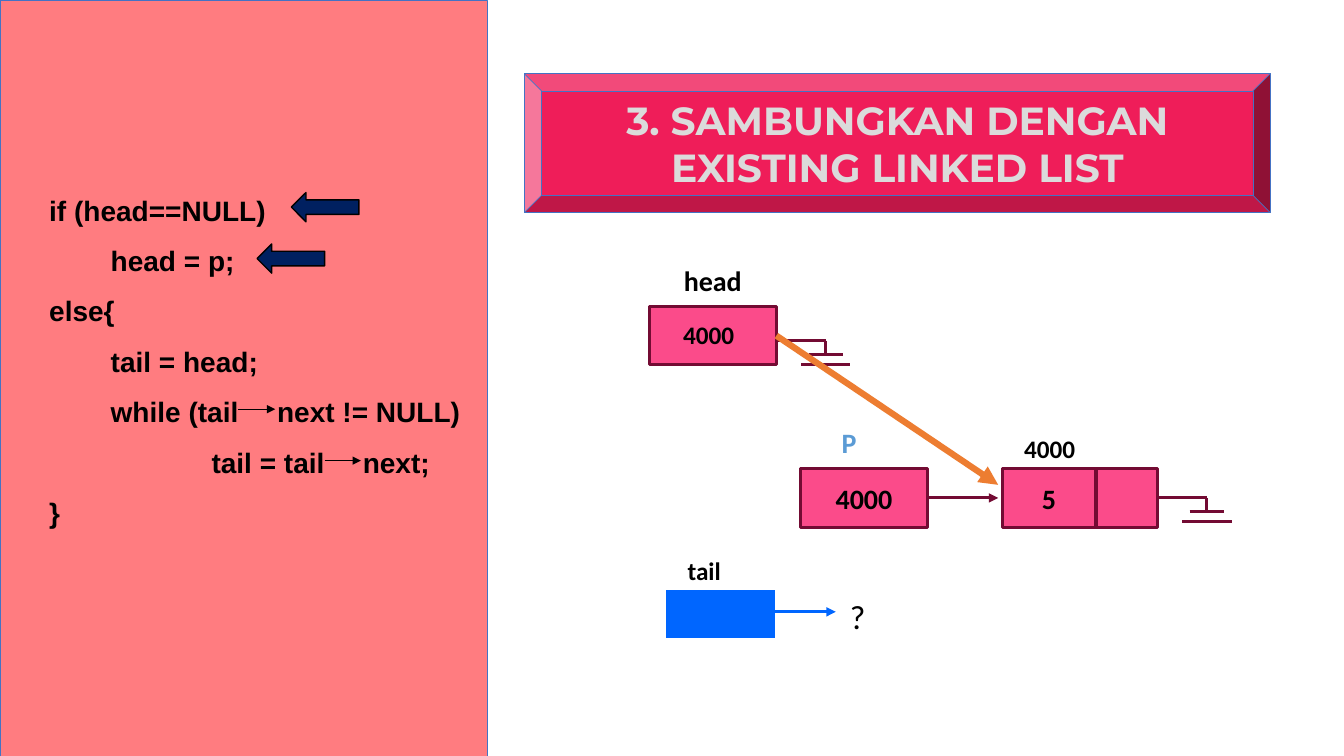
"""Build the slide that links a new node into an existing linked list."""
from dataclasses import dataclass
from typing import Any, Optional

from lxml.etree import SubElement
from pptx import Presentation
from pptx.dml.color import RGBColor
from pptx.enum.shapes import MSO_CONNECTOR as Connector, MSO_SHAPE as Preset
from pptx.enum.text import MSO_ANCHOR as Anchor, PP_ALIGN as Align
from pptx.oxml.ns import qn
from pptx.util import Inches, Pt

COLUMNS, ROWS = 133.3, 75
CELL = Inches(0.1)

BLACK = RGBColor(0x00, 0x00, 0x00)
WHITE = RGBColor(0xFF, 0xFF, 0xFF)
SILVER = RGBColor(0xDB, 0xDB, 0xDB)
CRIMSON = RGBColor(0xEF, 0x1D, 0x59)
PINK = RGBColor(0xFB, 0x4B, 0x8A)
WINE = RGBColor(0x73, 0x0B, 0x33)
CORAL = RGBColor(0xFF, 0x7C, 0x80)
FRAME_BLUE = RGBColor(0x44, 0x72, 0xC4)
PALE_BLUE = RGBColor(0x5B, 0x9B, 0xD5)
TAIL_BLUE = RGBColor(0x00, 0x66, 0xFF)
NAVY = RGBColor(0x00, 0x20, 0x60)
ORANGE = RGBColor(0xED, 0x7D, 0x31)


@dataclass(frozen=True)
class Box:
    """A filled preset shape measured in grid cells."""
    column: float
    row: float
    width: float
    height: float
    fill: RGBColor = PINK
    line: Optional[RGBColor] = WINE
    weight: float = 2.25
    text: str = ""
    size: float = 20
    font: str = "Calibri"
    color: RGBColor = BLACK
    preset: Preset = Preset.RECTANGLE


@dataclass(frozen=True)
class Label:
    """A caption in a text box measured in grid cells."""
    text: str
    column: float
    row: float
    width: float
    height: float
    size: float = 18
    color: RGBColor = BLACK
    bold: bool = True
    spacing: float = 1.0
    align: Align = Align.CENTER


@dataclass(frozen=True)
class Wire:
    """A straight line between two grid points."""
    start: tuple[float, float]
    end: tuple[float, float]
    color: RGBColor = WINE
    weight: float = 2.25
    arrow: bool = False


@dataclass(frozen=True)
class CodeLine:
    """A line of code with its tab stops in grid cells."""
    text: str
    stops: tuple[float, ...]
    bold: bool = True


MARGIN, INDENT, NESTED = 3.9, 10, 20
CODE = (
    CodeLine("\tif (head==NULL)", (MARGIN,)),
    CodeLine("\thead = p;", (INDENT,)),
    CodeLine("\telse{", (MARGIN,)),
    CodeLine("\ttail = head;", (INDENT,)),
    CodeLine("\twhile (tail\tnext != NULL)", (INDENT, 26.5)),
    CodeLine("\ttail = tail\tnext;", (NESTED, 35)),
    CodeLine("\t}", (MARGIN,)),
)
PANEL = Box(0, 0, 48.3, ROWS, CORAL, FRAME_BLUE, 0.5)
BOXES = (
    Box(52, 7.3, 74, 13.8, CRIMSON, FRAME_BLUE, 0.5, "3. SAMBUNGKAN DENGAN EXISTING LINKED LIST",
        28, "Montserrat", SILVER, Preset.BEVEL),
    Box(79.4, 46.5, 12.6, 5.8, text="4000"),
    Box(99.4, 46.5, 9.3, 5.8, text="5"),
    Box(108.7, 46.5, 6.1, 5.8),
    Box(64.4, 30.4, 12.6, 5.8),
    Box(66.5, 31.2, 7.6, 4, line=None, text="4000", size=18),
    Box(65.9, 58.4, 11.1, 5.1, TAIL_BLUE, WHITE),
    *(Box(column, row, 6.7, 2.9, NAVY, BLACK, 1, preset=Preset.LEFT_ARROW)
      for column, row in ((28.9, 19.1), (25.5, 24.2))),
)
LABELS = (
    Label("P", 82.5, 42.1, 6.5, 4.4, 20, PALE_BLUE, spacing=0.9, align=Align.LEFT),
    Label("4000", 100.3, 42.5, 7.6, 4),
    Label("head", 64.7, 26, 12, 4.4, 20, spacing=0.9),
    Label("tail", 65.6, 54.6, 8.5, 4),
    Label("?", 83.3, 56.6, 3.5, 6.4, 24, bold=False, spacing=1.5),
)


def ground(column: float, row: float) -> tuple[Wire, ...]:
    """Return the wires of a null symbol that starts at a grid point."""
    stem = column + 4.9
    bars = ((1.7, row + 1.35), (2.45, row + 2.35))
    return (
        Wire((column, row), (stem, row)),
        Wire((stem, row), (stem, row + 1.35)),
        *(Wire((stem - half, level), (stem + half, level)) for half, level in bars),
    )


WIRES = (
    *ground(77, 33.8),
    *ground(114.8, 49.4),
    Wire((92.1, 49.4), (99, 49.4), arrow=True),
    Wire((77, 33.3), (99, 48.1), ORANGE, 4.5, True),
    Wire((76, 60.7), (82.9, 60.7), TAIL_BLUE, arrow=True),
    Wire((23.6, 40.6), (27.3, 40.6), BLACK, 0.5, True),
    Wire((32.2, 45.7), (35.8, 45.7), BLACK, 0.5, True),
)


def cells(*counts: float) -> list[int]:
    """Convert grid counts to lengths."""
    return [round(count * CELL) for count in counts]


def assign(target: Any, values: dict[str, Any]) -> None:
    """Set each named attribute on the target."""
    for name, value in values.items():
        setattr(target, name, value)


def style(paragraph: Any, size: float, color: RGBColor, bold: bool, name: str = "Calibri") -> None:
    """Format the font of a paragraph's runs."""
    for run in paragraph.runs:
        assign(run.font, {"size": Pt(size), "bold": bold, "name": name})
        run.font.color.rgb = color


def draw_box(slide: Any, box: Box) -> Any:
    """Draw a box with its centred text."""
    shape = slide.shapes.add_shape(box.preset, *cells(box.column, box.row, box.width, box.height))
    shape.shadow.inherit = False
    shape.fill.solid()
    shape.fill.fore_color.rgb = box.fill
    if box.line is None:
        shape.line.fill.background()
    else:
        shape.line.color.rgb = box.line
        shape.line.width = Pt(box.weight)
    assign(shape.text_frame, {"word_wrap": True, "vertical_anchor": Anchor.MIDDLE})
    if box.text:
        paragraph = shape.text_frame.paragraphs[0]
        assign(paragraph, {"text": box.text, "alignment": Align.CENTER})
        style(paragraph, box.size, box.color, True, box.font)
    return shape


def draw_code(slide: Any) -> None:
    """Draw the panel and its lines of code."""
    frame = draw_box(slide, PANEL).text_frame
    frame.margin_bottom = Inches(0.55)
    for index, line in enumerate(CODE):
        paragraph = frame.add_paragraph() if index else frame.paragraphs[0]
        assign(paragraph, {"text": line.text, "alignment": Align.LEFT, "line_spacing": 1.5})
        tabs = SubElement(paragraph._p.get_or_add_pPr(), qn("a:tabLst"))
        for position in cells(*line.stops):
            SubElement(tabs, qn("a:tab"), pos=str(position), algn="l")
        style(paragraph, 20, BLACK, line.bold, "Arial")


def draw_label(slide: Any, label: Label) -> None:
    """Draw a caption."""
    shape = slide.shapes.add_textbox(*cells(label.column, label.row, label.width, label.height))
    shape.text_frame.word_wrap = label.align == Align.LEFT
    paragraph = shape.text_frame.paragraphs[0]
    assign(paragraph, {"text": label.text, "alignment": label.align, "line_spacing": label.spacing})
    style(paragraph, label.size, label.color, label.bold)


def draw_wire(slide: Any, wire: Wire) -> None:
    """Draw a line, with an arrowhead where asked."""
    connector = slide.shapes.add_connector(Connector.STRAIGHT, *cells(*wire.start, *wire.end))
    connector.line.color.rgb = wire.color
    connector.line.width = Pt(wire.weight)
    if wire.arrow:
        SubElement(connector.line._get_or_add_ln(), qn("a:tailEnd"), type="triangle")
    SubElement(connector._element.spPr, qn("a:effectLst"))


def main() -> None:
    """Build and save the presentation."""
    presentation = Presentation()
    width, height = cells(COLUMNS, ROWS)
    assign(presentation, {"slide_width": width, "slide_height": height})
    slide = presentation.slides.add_slide(presentation.slide_layouts[6])
    draw_code(slide)
    for draw, items in ((draw_box, BOXES), (draw_label, LABELS), (draw_wire, WIRES)):
        for item in items:
            draw(slide, item)
    presentation.save("out.pptx")


if __name__ == "__main__":
    main()
